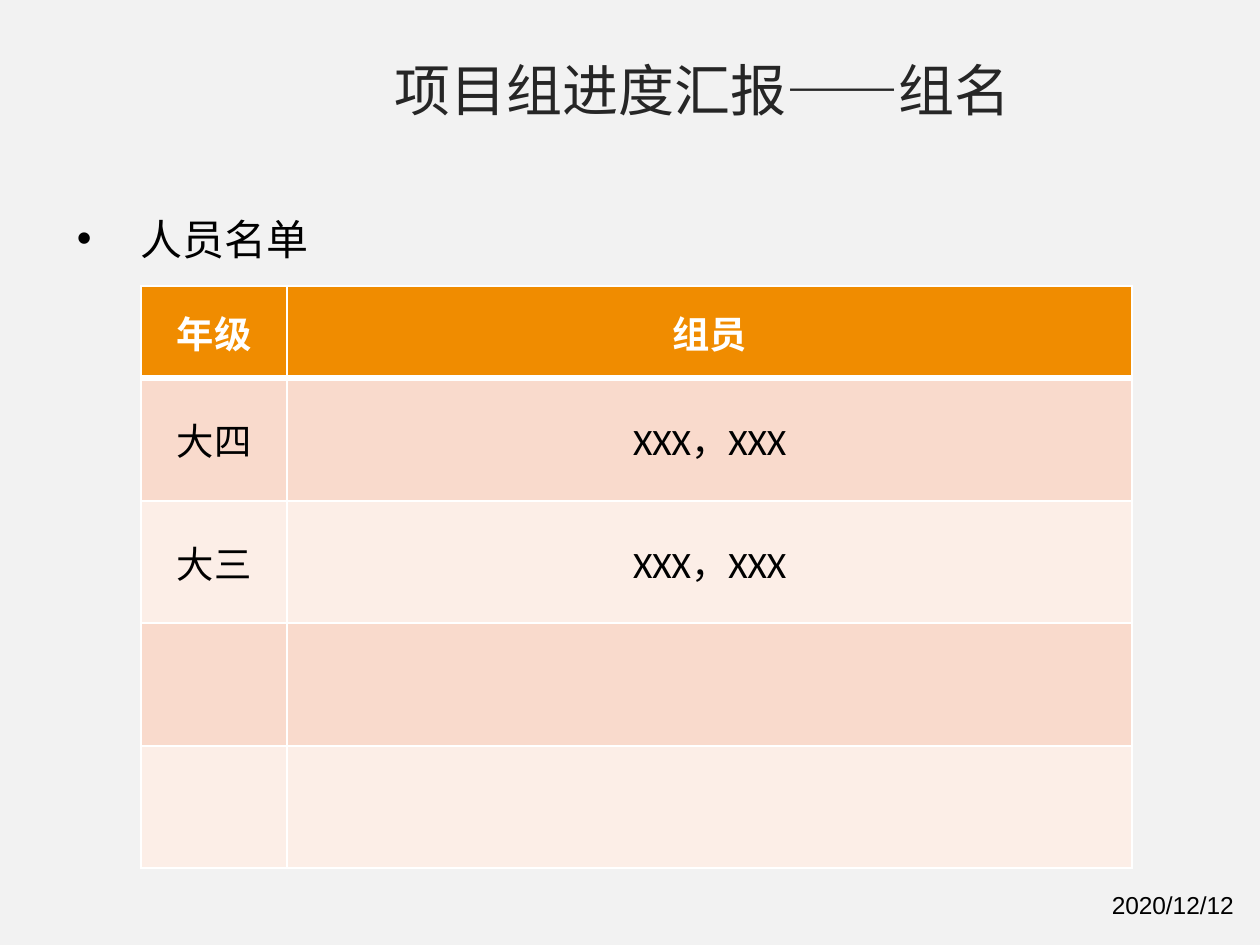
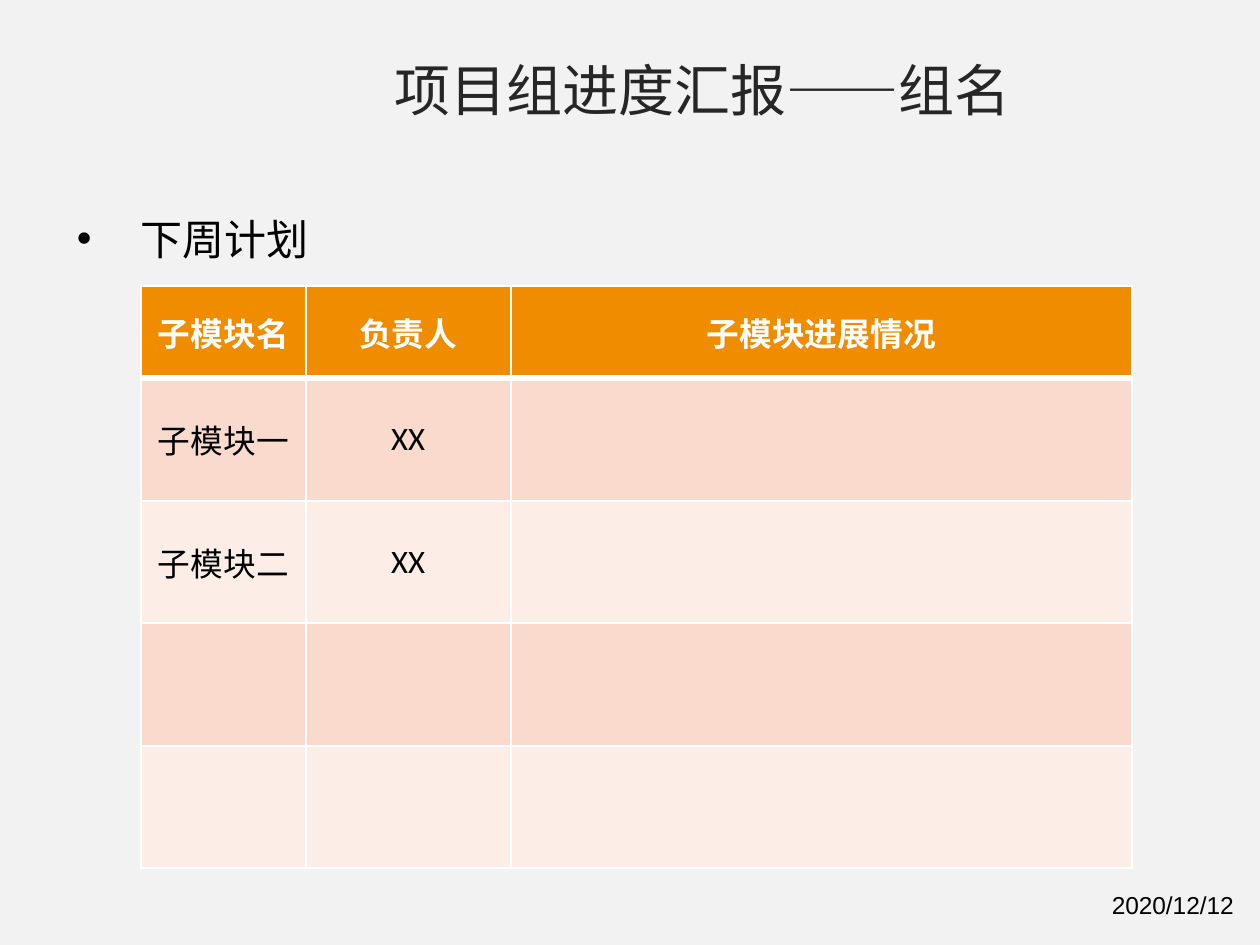
from dataclasses import dataclass

from lxml.etree import SubElement
from pptx import Presentation
from pptx.dml.color import RGBColor
from pptx.enum.text import MSO_ANCHOR, MSO_AUTO_SIZE, PP_ALIGN
from pptx.oxml import parse_xml
from pptx.oxml.ns import nsdecls, qn
from pptx.util import Inches, Pt

COLORS = {
    "background": "F2F2F2",
    "title": "262626",
    "text": "000000",
    "white": "FFFFFF",
    "header": "F08C00",
    "band_dark": "F9DACC",
    "band_light": "FCEEE7",
}
CJK_FONT = "Noto Sans CJK SC"
PAGE_WIDTH = 7.5
PAGE_HEIGHT = PAGE_WIDTH * 3 / 4
HEADER_HEIGHT, ROW_HEIGHT = 0.55, 0.73


@dataclass(frozen=True)
class TextStyle:
    size: float
    color: str = "text"
    font: str = CJK_FONT
    bold: bool = False


@dataclass(frozen=True)
class Label:
    text: str
    area: tuple[float, float, float, float]
    style: TextStyle
    wrap: bool = True
    grow: bool = True
    bullet: bool = False


@dataclass(frozen=True)
class ReportPage:
    heading: str
    columns: list[float]
    rows: list[list[str]]
    size: float


TITLE = Label("项目组进度汇报——组名", (2.25, 0.28, 3.96, 0.5),
              TextStyle(24, "title"), wrap=False)
DATE = Label("2020/12/12", (6.52, 5.25, 0.99, 0.28), TextStyle(10.5, font="Arial"))

PAGES = [
    ReportPage("人员名单", [0.87, 5.03], [
        ["年级", "组员"],
        ["大四", "XXX，XXX"],
        ["大三", "XXX，XXX"],
        ["", ""],
        ["", ""],
    ], 16),
    ReportPage("下周计划", [0.98, 1.22, 3.7], [
        ["子模块名", "负责人", "子模块进展情况"],
        ["子模块一", "XX", ""],
        ["子模块二", "XX", ""],
        ["", "", ""],
        ["", "", ""],
    ], 14),
]


def rgb(name: str) -> RGBColor:
    return RGBColor.from_string(COLORS[name])


def style_paragraph(para, style: TextStyle) -> None:
    for span in para.runs:
        span.font.size = Pt(style.size)
        span.font.bold = style.bold
        span.font.color.rgb = rgb(style.color)
        span.font.name = style.font
        east_asian = SubElement(span.font._element, qn("a:ea"))
        east_asian.set("typeface", CJK_FONT)


def add_bullet(para) -> None:
    para.space_before = Pt(3.6)
    properties = para._p.get_or_add_pPr()
    properties.set("marL", str(Inches(0.38)))
    properties.set("indent", str(Inches(-0.38)))
    SubElement(properties, qn("a:buFont")).set("typeface", "Arial")
    SubElement(properties, qn("a:buChar")).set("char", "•")


def add_label(page, label: Label) -> None:
    box = page.shapes.add_textbox(*map(Inches, label.area))
    frame = box.text_frame
    frame.word_wrap = label.wrap
    frame.auto_size = (MSO_AUTO_SIZE.SHAPE_TO_FIT_TEXT if label.grow
                       else MSO_AUTO_SIZE.NONE)
    frame.text = label.text
    para = frame.paragraphs[0]
    style_paragraph(para, label.style)
    if label.bullet:
        add_bullet(para)


def set_borders(cell, top: float, bottom: float) -> None:
    properties = cell._tc.get_or_add_tcPr()
    widths = {"lnL": 1, "lnR": 1, "lnT": top, "lnB": bottom}
    for index, (side, width) in enumerate(widths.items()):
        properties.insert(index, parse_xml(
            f'<a:{side} {nsdecls("a")} w="{Pt(width)}"><a:solidFill>'
            f'<a:srgbClr val="{COLORS["white"]}"/></a:solidFill></a:{side}>'))


def add_report_table(page, report: ReportPage) -> None:
    heights = [HEADER_HEIGHT] + [ROW_HEIGHT] * (len(report.rows) - 1)
    table = page.shapes.add_table(
        len(heights), len(report.columns), Inches(0.84), Inches(1.7),
        Inches(sum(report.columns)), Inches(sum(heights))).table
    table.first_row = table.horz_banding = False
    for column, width in zip(table.columns, report.columns):
        column.width = Inches(width)

    for r, (height, texts) in enumerate(zip(heights, report.rows)):
        table.rows[r].height = Inches(height)
        is_header = r == 0
        fill = "header" if is_header else "band_dark" if r % 2 else "band_light"
        style = TextStyle(report.size, "white" if is_header else "text",
                          "Calibri", is_header)
        for c, text in enumerate(texts):
            cell = table.cell(r, c)
            cell.fill.solid()
            cell.fill.fore_color.rgb = rgb(fill)
            # A thick rule separates the header from the body
            set_borders(cell, top=3 if r == 1 else 1, bottom=3 if is_header else 1)
            cell.vertical_anchor = MSO_ANCHOR.MIDDLE
            cell.margin_left = cell.margin_right = Inches(0.07)
            cell.margin_top = cell.margin_bottom = Inches(0.04)
            cell.text_frame.text = text
            para = cell.text_frame.paragraphs[0]
            para.alignment = PP_ALIGN.CENTER
            style_paragraph(para, style)


def add_report_page(deck, report: ReportPage) -> None:
    page = deck.slides.add_slide(deck.slide_layouts[6])
    page.background.fill.solid()
    page.background.fill.fore_color.rgb = rgb("background")
    heading = Label(report.heading, (0.36, 1.22, 2.05, 0.49), TextStyle(18),
                    grow=False, bullet=True)
    for label in (TITLE, heading, DATE):
        add_label(page, label)
    add_report_table(page, report)


# Build the deck
deck = Presentation()
deck.slide_width, deck.slide_height = Inches(PAGE_WIDTH), Inches(PAGE_HEIGHT)
for report in PAGES:
    add_report_page(deck, report)
deck.save("out.pptx")
